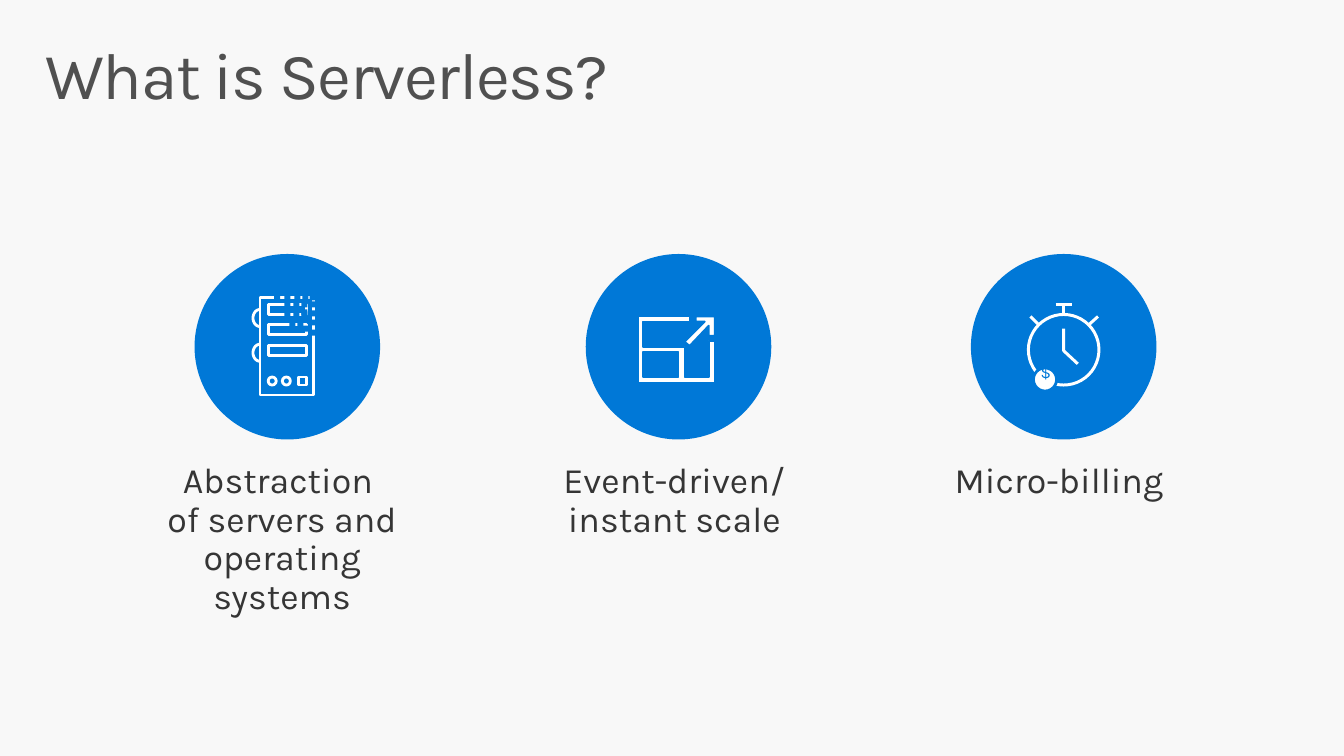
import math
from pptx import Presentation
from pptx.dml.color import RGBColor
from pptx.enum.shapes import MSO_CONNECTOR, MSO_SHAPE
from pptx.enum.text import MSO_ANCHOR, MSO_AUTO_SIZE, PP_ALIGN
from pptx.oxml.ns import qn
from pptx.util import Inches, Pt
from lxml import etree

OVAL, RECT = MSO_SHAPE.OVAL, MSO_SHAPE.RECTANGLE
STRAIGHT = MSO_CONNECTOR.STRAIGHT
BLUE, WHITE, DARK, GREY = "0078D7", "FFFFFF", "353535", "505050"
FONT = "Karla"
CIRCLE, CIRCLE_TOP = 1.84, 2.52


def paint(shape, fill=None, line=None, weight=0):
    """Give a shape a plain fill and line, without shadow."""
    shape.shadow.inherit = False
    if fill:
        shape.fill.solid()
        shape.fill.fore_color.rgb = RGBColor.from_string(fill)
    else:
        shape.fill.background()
    if line:
        shape.line.color.rgb = RGBColor.from_string(line)
        shape.line.width = Pt(weight)
    else:
        shape.line.fill.background()


def outline(group, contours, close):
    """Build a freeform from contours given in inches."""
    contours = [[(Inches(x), Inches(y)) for x, y in points] for points in contours]
    builder = group.shapes.build_freeform(*contours[0][0], scale=1.0)
    for number, points in enumerate(contours):
        if number:
            builder.move_to(*points[0])
        builder.add_line_segments(points[1:], close=close)
    return builder.convert_to_shape()


deck = Presentation()
deck.slide_width, deck.slide_height = Inches(13.33), Inches(7.5)
page = deck.slides.add_slide(deck.slide_layouts[5])
page.background.fill.solid()
page.background.fill.fore_color.rgb = RGBColor.from_string("F8F8F8")

# Title
title = page.shapes.title
title.left, title.top, title.width, title.height = map(Inches, (0.29, 0.32, 12.75, 0.98))
frame = title.text_frame
frame.text = "What is Serverless?"
frame.word_wrap = True
frame.auto_size = MSO_AUTO_SIZE.NONE
frame.vertical_anchor = MSO_ANCHOR.TOP
frame.margin_left = frame.margin_right = Inches(0.16)
frame.margin_top = frame.margin_bottom = Inches(0.1)
para = frame.paragraphs[0]
para.alignment = PP_ALIGN.LEFT
para.line_spacing = 0.9
span = para.runs[0]
span.font.name, span.font.size = FONT, Pt(47)
span.font.color.rgb = RGBColor.from_string(GREY)
span.font._element.set("spc", "-100")

# Three columns: circle left, caption left, width, height, text
columns = [
    (1.93, 1.44, 2.82, 1.87, "Abstraction \vof servers and operating systems"),
    (5.81, 5.28, 2.92, 1.11, "Event-driven/ instant scale"),
    (9.63, 9.21, 2.69, 0.72, "Micro-billing"),
]
icons = []
for circle_left, left, width, height, caption in columns:
    box = page.shapes.add_textbox(*map(Inches, (left, 4.43, width, height)))
    frame = box.text_frame
    frame.text = caption
    frame.word_wrap = True
    frame.auto_size = MSO_AUTO_SIZE.SHAPE_TO_FIT_TEXT
    frame.margin_left, frame.margin_right = Inches(0.1), Inches(0.2)
    frame.margin_top = frame.margin_bottom = Inches(0.16)
    para = frame.paragraphs[0]
    para.alignment = PP_ALIGN.CENTER
    para.line_spacing, para.space_after = 0.9, Pt(12)
    for span in para.runs:
        span.font.name, span.font.size = FONT, Pt(25.5)
        span.font.color.rgb = RGBColor.from_string(DARK)

    icon = page.shapes.add_group_shape()
    circle = icon.shapes.add_shape(
        OVAL, *map(Inches, (circle_left, CIRCLE_TOP, CIRCLE, CIRCLE)))
    paint(circle, BLUE)
    icons.append(icon)
server, scale, stopwatch = icons

# Server: case, three slots, two lamps and a button
server_parts = [(RECT, 2.58, 2.95, 0.53, 0.97)]
server_parts += [(RECT, 2.66, top, 0.38, 0.1) for top in (3.02, 3.22, 3.43)]
server_parts += [(kind, left, 3.74, 0.08, 0.08)
                 for kind, left in ((OVAL, 2.66), (OVAL, 2.8), (RECT, 2.96))]
for kind, *place in server_parts:
    paint(server.shapes.add_shape(kind, *map(Inches, place)), line=WHITE, weight=2)

# Server: two half-round handles
for middle in (3.155, 3.5):
    angles = [math.radians(90 + 10 * step) for step in range(19)]
    arc = [(2.58 + 0.07 * math.cos(a), middle + 0.085 * math.sin(a)) for a in angles]
    paint(outline(server, [arc], close=False), line=WHITE, weight=2)

# Server: blue pixels that dissolve the corner
pixels = [
    (2.72, 2.92), (2.82, 2.91), (2.92, 2.92), (3, 2.91), (3.07, 2.92),
    (2.82, 2.98), (2.91, 2.98), (2.99, 2.99), (3.09, 2.99),
    (2.82, 3.1), (2.91, 3.09), (2.99, 3.07), (2.99, 3.09), (3.09, 3.08),
    (2.87, 3.2), (2.95, 3.2), (3, 3.23), (3.08, 3.17), (3.08, 3.27),
]
for left, top in pixels:
    paint(server.shapes.add_shape(RECT, *map(Inches, (left, top, 0.06, 0.06))), BLUE)

# Scale: open frame with an inner pane, then the arrow
frame_edge = [(7.03, 3.74), (6.79, 3.74), (6.79, 3.44), (6.38, 3.44), (6.38, 3.19),
              (6.84, 3.19), (6.84, 3.14), (6.33, 3.14), (6.33, 3.8), (7.09, 3.8),
              (7.09, 3.38), (7.03, 3.38)]
pane = [(6.38, 3.49), (6.73, 3.49), (6.73, 3.74), (6.38, 3.74)]
arrow = [(6.9, 3.19), (6.99, 3.19), (6.79, 3.39), (6.84, 3.43), (7.03, 3.23),
         (7.03, 3.33), (7.09, 3.33), (7.09, 3.14), (6.9, 3.14)]
for contours in ([frame_edge, pane], [arrow]):
    paint(outline(scale, contours, close=True), WHITE, BLUE, 1.25)

# Stopwatch: hands, dial, crown and side buttons
hands = [(10.55, 3.26), (10.55, 3.48), (10.69, 3.61)]
paint(outline(stopwatch, [hands], close=False), line=WHITE, weight=2.13)
dial = stopwatch.shapes.add_shape(OVAL, *map(Inches, (10.2, 3.12, 0.7, 0.7)))
paint(dial, line=WHITE, weight=2.13)
for ends in ((10.47, 3.02, 10.63, 3.02), (10.55, 3.12, 10.55, 3.02),
             (10.89, 3.14, 10.79, 3.23), (10.22, 3.14, 10.31, 3.23)):
    stroke = stopwatch.shapes.add_connector(STRAIGHT, *map(Inches, ends))
    stroke.line.color.rgb = RGBColor.from_string(WHITE)
    stroke.line.width = Pt(2.13)
    etree.SubElement(stroke._element.spPr, qn("a:effectLst"))

# Stopwatch: coin with its dollar sign
coin = stopwatch.shapes.add_shape(OVAL, *map(Inches, (10.25, 3.65, 0.23, 0.23)))
paint(coin, WHITE, BLUE, 2)
box = stopwatch.shapes.add_textbox(*map(Inches, (10.12, 3.52, 0.49, 0.49)))
frame = box.text_frame
frame.text = "$"
frame.word_wrap = False
frame.auto_size = MSO_AUTO_SIZE.SHAPE_TO_FIT_TEXT
frame.margin_left = frame.margin_right = Inches(0.2)
frame.margin_top = frame.margin_bottom = Inches(0.16)
para = frame.paragraphs[0]
para.line_spacing, para.space_after = 0.9, Pt(5.9)
span = para.runs[0]
span.font.name, span.font.size = FONT, Pt(11.8)
span.font.color.rgb = RGBColor.from_string(BLUE)

deck.save("out.pptx")
